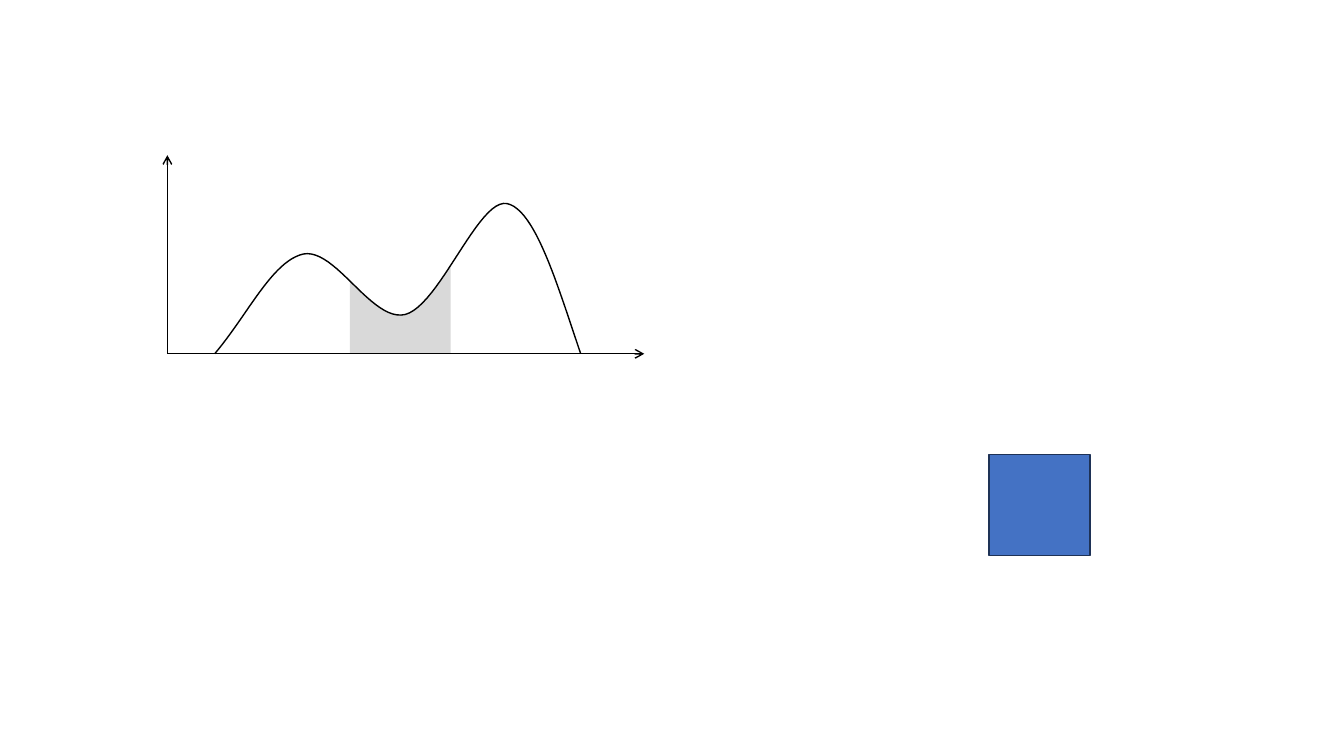
from lxml.etree import SubElement
from pptx import Presentation
from pptx.dml.color import RGBColor
from pptx.enum.shapes import MSO_CONNECTOR as Connector, MSO_SHAPE as Shape
from pptx.oxml.ns import qn
from pptx.util import Inches, Pt

COLORS = {"ink": "000000", "shade": "D9D9D9", "square": "4472C4", "square_edge": "1E3256"}
ORIGIN = (1.66, 3.51)
AXIS_ENDS = [(6.39, 3.51), (1.66, 1.54)]
CURVE_START = (2.13, 3.51)
CURVE_SEGMENTS = [
    [(2.46, 3.12), (2.7, 2.59), (3.01, 2.52)],
    [(3.33, 2.46), (3.69, 3.2), (4.02, 3.12)],
    [(4.36, 3.03), (4.75, 1.96), (5.03, 2.02)],
    [(5.31, 2.08), (5.53, 2.83), (5.76, 3.51)],
]
SHADE_LEFT, SHADE_RIGHT = (3.47, 2.79), (4.47, 2.63)
SQUARE = (9.81, 4.51, 1, 1)
STEPS = 24


def rgb(name):
    return RGBColor.from_string(COLORS[name])


def inches(values):
    return tuple(Inches(value) for value in values)


def bezier(points, t):
    weights = ((1 - t) ** 3, 3 * t * (1 - t) ** 2, 3 * t**2 * (1 - t), t**3)
    return tuple(sum(w * p[axis] for w, p in zip(weights, points)) for axis in (0, 1))


def sample_curve():
    points = [CURVE_START]
    for segment in CURVE_SEGMENTS:
        controls = [points[-1], *segment]
        points += [bezier(controls, step / STEPS) for step in range(1, STEPS + 1)]
    return points


def style(shape, fill=None, line=None):
    shape.shadow.inherit = False
    if fill:
        shape.fill.solid()
        shape.fill.fore_color.rgb = rgb(fill)
    else:
        shape.fill.background()
    if line:
        shape.line.color.rgb = rgb(line)
        shape.line.width = Pt(1)
    else:
        shape.line.fill.background()


def add_outline(slide, points, close, **look):
    start, *rest = [inches(point) for point in points]
    builder = slide.shapes.build_freeform(*start)
    builder.add_line_segments(rest, close=close)
    style(builder.convert_to_shape(), **look)


def add_axis(slide, end):
    axis = slide.shapes.add_connector(Connector.STRAIGHT, *inches((*ORIGIN, *end)))
    axis.line.color.rgb = rgb("ink")
    axis.line.width = Pt(1)
    properties = axis._element.spPr
    SubElement(properties.find(qn("a:ln")), qn("a:tailEnd"), type="arrow")
    SubElement(properties, qn("a:effectLst"))


def main():
    deck = Presentation()
    deck.slide_width, deck.slide_height = inches((13.33, 7.5))
    slide = deck.slides.add_slide(deck.slide_layouts[6])

    square = slide.shapes.add_shape(Shape.RECTANGLE, *inches(SQUARE))
    style(square, fill="square", line="square_edge")

    curve = sample_curve()
    left, right, base = SHADE_LEFT[0], SHADE_RIGHT[0], ORIGIN[1]
    valley = [point for point in curve if left < point[0] < right]
    shade = [(right, base), (left, base), SHADE_LEFT, *valley, SHADE_RIGHT]
    add_outline(slide, shade, True, fill="shade")
    add_outline(slide, curve, False, line="ink")

    for end in AXIS_ENDS:
        add_axis(slide, end)

    deck.save("out.pptx")


if __name__ == "__main__":
    main()
